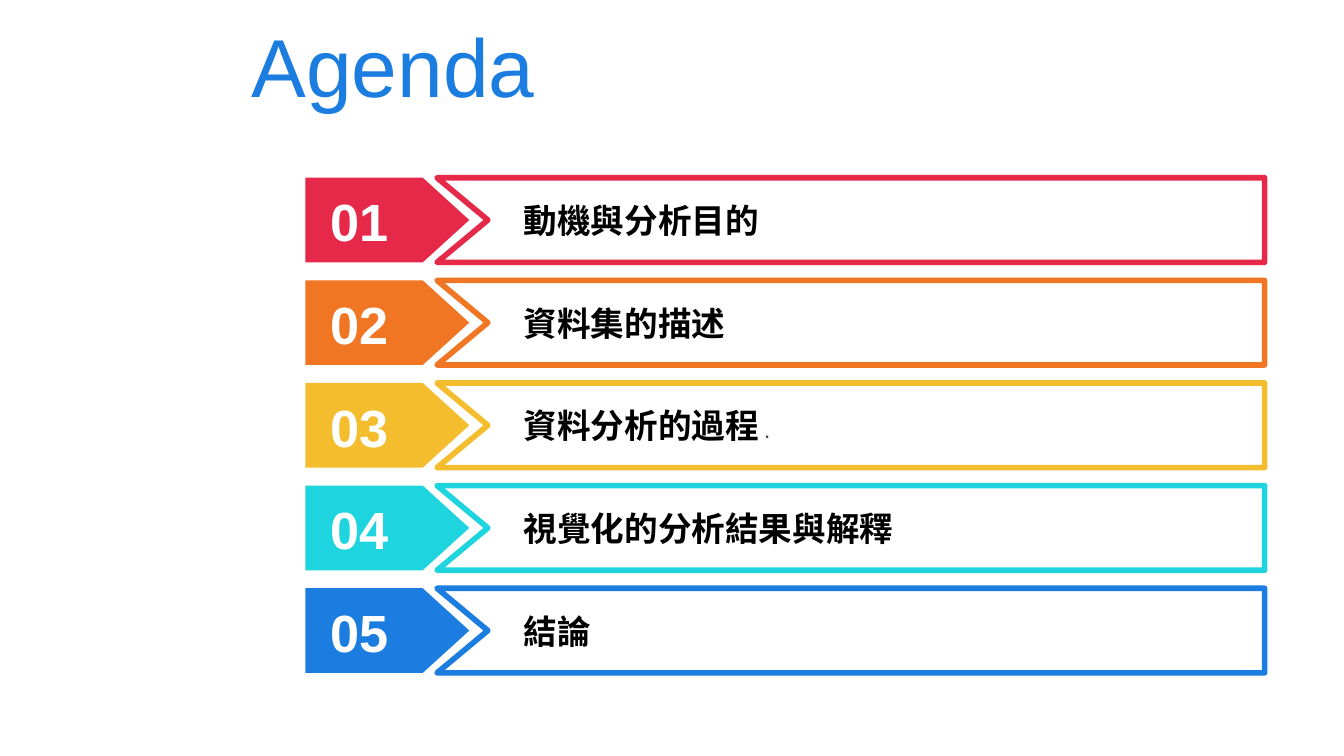
from dataclasses import dataclass

from pptx import Presentation
from pptx.dml.color import RGBColor
from pptx.enum.shapes import MSO_SHAPE
from pptx.enum.text import MSO_ANCHOR, MSO_AUTO_SIZE, PP_ALIGN
from pptx.util import Cm, Pt

PLATE = MSO_SHAPE.PENTAGON
MID, TOP = MSO_ANCHOR.MIDDLE, MSO_ANCHOR.TOP
LEFT = PP_ALIGN.LEFT
GROW = MSO_AUTO_SIZE.SHAPE_TO_FIT_TEXT


@dataclass(frozen=True)
class Theme:
    font: str = "Arial"
    blue: str = "1C7DE1"
    white: str = "FFFFFF"
    black: str = "000000"
    gray: str = "404040"
    rows: tuple = ("E62949", "F07624", "F4BD2D", "1ED4DE", "1C7DE1")
    title: int = 44
    number: int = 28
    label: int = 18
    small: int = 12


THEME = Theme()
ITEMS = ("動機與分析目的", "資料集的描述", "資料分析的過程", "視覺化的分析結果與解釋", "結論")
DOTTED = 2
FIRST, STEP, HIGH = 3.36, 1.94, 1.6


def rgb(code):
    return RGBColor.from_string(code)


def write(para, text, *, size, color, bold=False):
    para.alignment = LEFT
    run = para.add_run()
    run.text = text
    font = run.font
    font.name, font.size, font.bold = THEME.font, Pt(size), bold
    font.color.rgb = rgb(color)


def add_box(slide, x, y, wide, high, anchor, pad):
    frame = slide.shapes.add_textbox(Cm(x), Cm(y), Cm(wide), Cm(high)).text_frame
    frame.word_wrap = True
    frame.auto_size = GROW
    frame.vertical_anchor = anchor
    frame.margin_top = frame.margin_bottom = Cm(pad)
    return frame.paragraphs[0]


def add_title(slide, text):
    title = slide.shapes.title
    title.left, title.top = Cm(4.5), Cm(0)
    title.width, title.height = Cm(20.9), Cm(2.46)
    title.text_frame.vertical_anchor = MID
    write(title.text_frame.paragraphs[0], text, size=THEME.title, color=THEME.blue)


def add_plate(slide, y, color):
    plate = slide.shapes.add_shape(PLATE, Cm(5.77), Cm(y), Cm(3.1), Cm(HIGH))
    plate.adjustments[0] = 0.55
    plate.shadow.inherit = False
    plate.fill.solid()
    plate.fill.fore_color.rgb = rgb(color)
    plate.line.fill.background()


def add_frame(slide, y, color):
    left, right, notch, base = 8.26, 23.9, 9.22, y + HIGH
    build = slide.shapes.build_freeform(Cm(left), Cm(y))
    points = ((right, y), (right, base), (left, base), (notch, y + HIGH / 2))
    build.add_line_segments([(Cm(a), Cm(b)) for a, b in points], close=True)
    shape = build.convert_to_shape()
    shape.shadow.inherit = False
    shape.fill.solid()
    shape.fill.fore_color.rgb = rgb(THEME.white)
    shape.line.color.rgb = rgb(color)
    shape.line.width = Pt(3)


def add_row(slide, index, text, color):
    y = FIRST + index * STEP
    add_plate(slide, y, color)
    add_frame(slide, y, color)
    number = add_box(slide, 5.99, y + 0.22, 1.68, 1.19, MID, 0)
    write(number, f"{index + 1:02}", size=THEME.number, color=THEME.white, bold=True)
    label = add_box(slide, 9.65, y + 0.29, 13.46, 1.02, TOP, 0.13)
    write(label, text, size=THEME.label, color=THEME.black, bold=True)
    if index == DOTTED:
        write(label, " .", size=THEME.small, color=THEME.gray)


def main():
    deck = Presentation()
    deck.slide_width, deck.slide_height = Cm(25.4), Cm(14.29)
    slide = deck.slides.add_slide(deck.slide_layouts[5])
    add_title(slide, "Agenda")
    for index, (text, color) in enumerate(zip(ITEMS, THEME.rows)):
        add_row(slide, index, text, color)
    deck.save("out.pptx")


if __name__ == "__main__":
    main()
